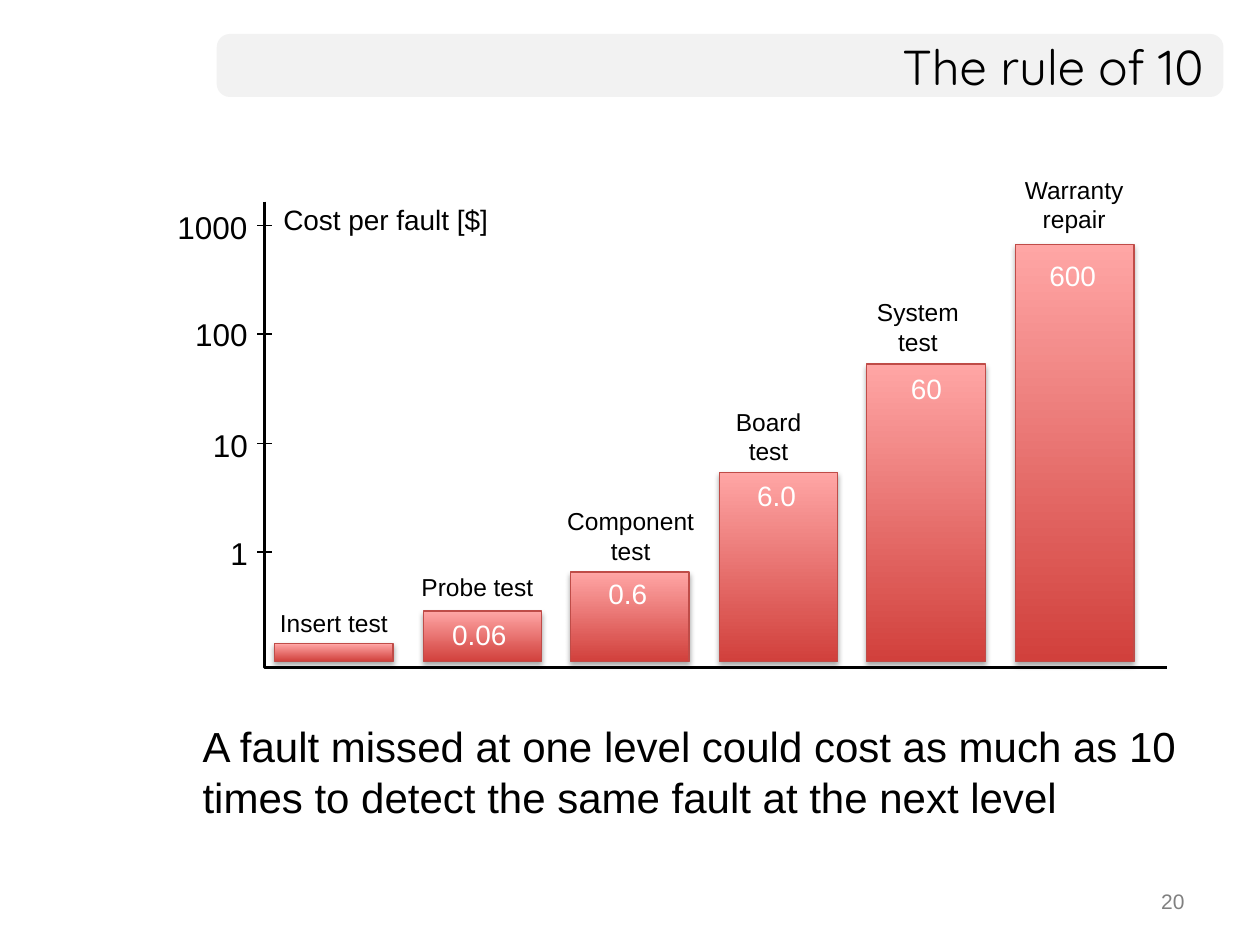
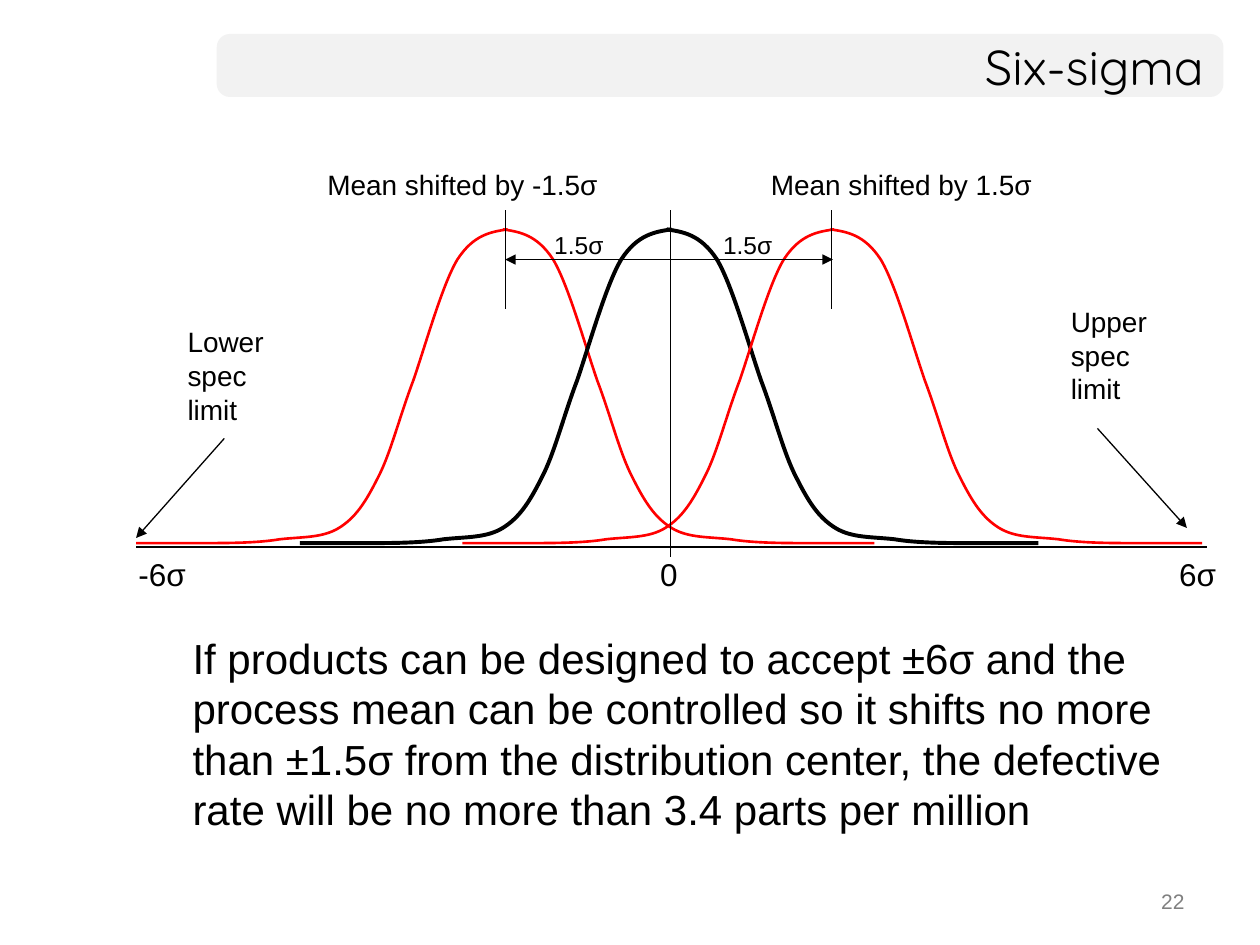
from typing import NamedTuple, Optional

from lxml.etree import SubElement
from pptx import Presentation
from pptx.dml.color import RGBColor
from pptx.enum.shapes import MSO_CONNECTOR, MSO_SHAPE
from pptx.enum.text import MSO_ANCHOR, MSO_AUTO_SIZE, PP_ALIGN
from pptx.oxml.ns import qn
from pptx.util import Emu, Pt

PX = 9144  # EMU in one px, 100 px to the inch

BLACK, WHITE, RED = "000000", "FFFFFF", "FF0000"
BAND, GREY = "F2F2F2", "808080"
BAR_LOW, BAR_HIGH, BAR_EDGE = "D1403C", "FFA6A5", "BF4C48"
BODY_FONT, TITLE_FONT = "Arial", "Quicksand"
LEFT, RIGHT, CENTER = PP_ALIGN.LEFT, PP_ALIGN.RIGHT, PP_ALIGN.CENTER


class Box(NamedTuple):
    x: int
    y: int
    w: int
    h: int


class Bar(NamedTuple):
    name: str
    name_box: Box
    top: int
    value: str = ""
    value_box: Optional[Box] = None


class Tick(NamedTuple):
    y: int
    text: str
    box: Box


class Label(NamedTuple):
    text: str
    box: Box
    size: int
    wrap: bool = False


class Stroke(NamedTuple):
    x1: int
    y1: int
    x2: int
    y2: int
    width: float = 0.75
    head: bool = False
    tail: bool = False


class Bell(NamedTuple):
    start: int
    end: int
    color: str
    width: float


BARS = [
    Bar("Insert test", Box(202, 478, 126, 34), 511),
    Bar("Probe test", Box(316, 449, 126, 34), 485, "0.06", Box(349, 485, 64, 37)),
    Bar("Component test", Box(430, 397, 141, 57), 454, "0.6", Box(473, 453, 51, 37)),
    Bar("Board test", Box(572, 318, 76, 57), 375, "6.0", Box(591, 375, 51, 37)),
    Bar("System test", Box(671, 231, 115, 57), 289, "60", Box(713, 290, 45, 37)),
    Bar("Warranty repair", Box(779, 134, 147, 57), 194, "600", Box(823, 200, 58, 37)),
]
BAR_LEFT, BAR_STEP, BAR_WIDTH, BAR_BASE = 218, 117.6, 94, 525
TICKS = [
    Tick(265, "100", Box(145, 245, 62, 40)),
    Tick(352, "10", Box(159, 333, 48, 40)),
    Tick(438, "1", Box(173, 419, 34, 40)),
    Tick(179, "1000", Box(131, 160, 76, 40)),
]

BELLS = [
    Bell(108, 694, RED, 1.5),
    Bell(238, 824, BLACK, 2.25),
    Bell(367, 954, RED, 1.5),
]
BELL_TOP = 182
# Rising half of a bell: a start point, then three points for each cubic curve
RISE = [
    (0, 249), (9, 249), (35, 249), (54, 249), (72, 249), (96, 249), (114, 246),
    (132, 244), (148, 245), (161, 237), (174, 229), (182, 217), (192, 197),
    (202, 178), (209, 149), (220, 120), (230, 91), (243, 44), (255, 24),
    (268, 4), (282, 2), (295, 0),
]
STROKES = [
    Stroke(178, 348, 108, 427, tail=True),
    Stroke(871, 340, 942, 419, tail=True),
    Stroke(401, 206, 661, 206, head=True, tail=True),
    Stroke(401, 167, 401, 245),
    Stroke(660, 167, 660, 245),
    Stroke(532, 167, 532, 442),
]
LABELS = [
    Label("-6σ", Box(100, 436, 58, 40), 18),
    Label("6σ", Box(926, 436, 50, 40), 18),
    Label("0", Box(514, 436, 34, 40), 18),
    Label("Upper spec limit", Box(840, 237, 102, 91), 16, True),
    Label("Lower spec limit", Box(139, 253, 102, 91), 16, True),
    Label("1.5σ", Box(430, 178, 59, 34), 14),
    Label("1.5σ", Box(564, 178, 59, 34), 14),
    Label("Mean shifted by -1.5σ", Box(250, 128, 238, 37), 16),
    Label("Mean shifted by 1.5σ", Box(602, 128, 238, 37), 16),
]


def emu(px: float) -> Emu:
    return Emu(round(px * PX))


def rgb(color: str) -> RGBColor:
    return RGBColor.from_string(color)


def frame(box: Box) -> list[Emu]:
    return [emu(side) for side in box]


def set_line(line, color: str, width: float) -> None:
    line.color.rgb = rgb(color)
    line.width = Pt(width)


def add_text(slide, text: str, box: Box, size: int, color: str = BLACK,
             align=LEFT, font: str = BODY_FONT, wrap: bool = True,
             grow: bool = True, anchor=MSO_ANCHOR.TOP) -> None:
    area = slide.shapes.add_textbox(*frame(box)).text_frame
    area.word_wrap = wrap
    area.auto_size = MSO_AUTO_SIZE.SHAPE_TO_FIT_TEXT if grow else MSO_AUTO_SIZE.NONE
    area.vertical_anchor = anchor
    para = area.paragraphs[0]
    para.text = text
    para.alignment = align
    para.font.name = font
    para.font.size = Pt(size)
    para.font.color.rgb = rgb(color)


def add_stroke(slide, stroke: Stroke) -> None:
    ends = [emu(v) for v in stroke[:4]]
    link = slide.shapes.add_connector(MSO_CONNECTOR.STRAIGHT, *ends)
    set_line(link.line, BLACK, stroke.width)
    props = link._element.spPr
    for tag, shown in (("a:headEnd", stroke.head), ("a:tailEnd", stroke.tail)):
        if shown:
            SubElement(props.find(qn("a:ln")), qn(tag), type="triangle")
    SubElement(props, qn("a:effectLst"))


def add_trace(slide, points: list, color: str, width: float):
    """Draw an open, unfilled line through the points."""
    spots = [(emu(x), emu(y)) for x, y in points]
    pen = slide.shapes.build_freeform(*spots[0])
    pen.add_line_segments(spots[1:], close=False)
    shape = pen.convert_to_shape()
    shape.shadow.inherit = False
    shape.fill.background()
    set_line(shape.line, color, width)
    return shape


def bend(shape) -> None:
    """Turn each three straight segments into one cubic curve."""
    legs = list(shape._element.iter(qn("a:lnTo")))
    for first, second, third in zip(legs[::3], legs[1::3], legs[2::3]):
        curve = first.getparent()
        first.tag = qn("a:cubicBezTo")
        for leg in (second, third):
            first.append(leg[0])
            curve.remove(leg)


def add_bell(slide, bell: Bell) -> None:
    for edge, way in ((bell.start, 1), (bell.end, -1)):
        half = [(edge + way * x, BELL_TOP + y) for x, y in RISE]
        bend(add_trace(slide, half, bell.color, bell.width))


def add_bar(slide, box: Box) -> None:
    shape = slide.shapes.add_shape(MSO_SHAPE.RECTANGLE, *frame(box))
    shape.fill.gradient()
    shape.fill.gradient_angle = 90
    for stop, color in zip(shape.fill.gradient_stops, (BAR_LOW, BAR_HIGH)):
        stop.color.rgb = rgb(color)
    set_line(shape.line, BAR_EDGE, 0.75)
    shape.shadow.inherit = False
    effects = shape._element.spPr.find(qn("a:effectLst"))
    shadow = SubElement(effects, qn("a:outerShdw"), blurRad=str(Pt(3.1)),
                        dist=str(Pt(1.8)), dir="5400000", rotWithShape="0")
    tint = SubElement(shadow, qn("a:srgbClr"), val=BLACK)
    SubElement(tint, qn("a:alpha"), val="35000")


def add_page(deck, title: str, number: int, body: str, body_box: Box):
    """Add a slide with its title band, page number and body text."""
    slide = deck.slides.add_slide(deck.slide_layouts[6])
    band = slide.shapes.add_shape(MSO_SHAPE.ROUNDED_RECTANGLE,
                                  *frame(Box(172, 27, 799, 50)))
    band.adjustments[0] = 0.21
    band.shadow.inherit = False
    band.fill.solid()
    band.fill.fore_color.rgb = rgb(BAND)
    band.line.fill.background()
    add_text(slide, str(number), Box(717, 700, 233, 35), 12, GREY, RIGHT, grow=False)
    add_text(slide, title, Box(172, 27, 793, 50), 28, align=RIGHT,
             font=TITLE_FONT, grow=False, anchor=MSO_ANCHOR.MIDDLE)
    add_text(slide, body, body_box, 24, grow=False)
    return slide


def add_costs(deck) -> None:
    slide = add_page(
        deck, "The rule of 10", 20,
        "A fault missed at one level could cost as much as 10 times to detect "
        "the same fault at the next level", Box(151, 567, 804, 92))
    add_trace(slide, [(210, 160), (210, 530), (926, 530)], BLACK, 1.5)
    for tick in TICKS:
        add_stroke(slide, Stroke(204, tick.y, 216, tick.y))
        add_text(slide, tick.text, tick.box, 18, wrap=False)
    add_text(slide, "Cost per fault [$]", Box(215, 156, 185, 37), 16, wrap=False)
    for i, bar in enumerate(BARS):
        x = round(BAR_LEFT + BAR_STEP * i)
        add_bar(slide, Box(x, bar.top, BAR_WIDTH, BAR_BASE - bar.top))
        if bar.value_box:
            add_text(slide, bar.value, bar.value_box, 16, WHITE, wrap=False)
        add_text(slide, bar.name, bar.name_box, 14, align=CENTER)


def add_sigma(deck) -> None:
    slide = add_page(
        deck, "Six-sigma", 22,
        "If products can be designed to accept ±6σ and the process mean can be "
        "controlled so it shifts no more than ±1.5σ from the distribution "
        "center, the defective rate will be no more than 3.4 parts per million",
        Box(143, 497, 804, 176))
    add_trace(slide, [(108, 434), (958, 434)], BLACK, 1)
    for bell in BELLS:
        add_bell(slide, bell)
    for stroke in STROKES:
        add_stroke(slide, stroke)
    for label in LABELS:
        add_text(slide, label.text, label.box, label.size, wrap=label.wrap)


def main() -> None:
    deck = Presentation()
    deck.slide_width, deck.slide_height = emu(1000), emu(750)
    add_costs(deck)
    add_sigma(deck)
    deck.save("out.pptx")


if __name__ == "__main__":
    main()
